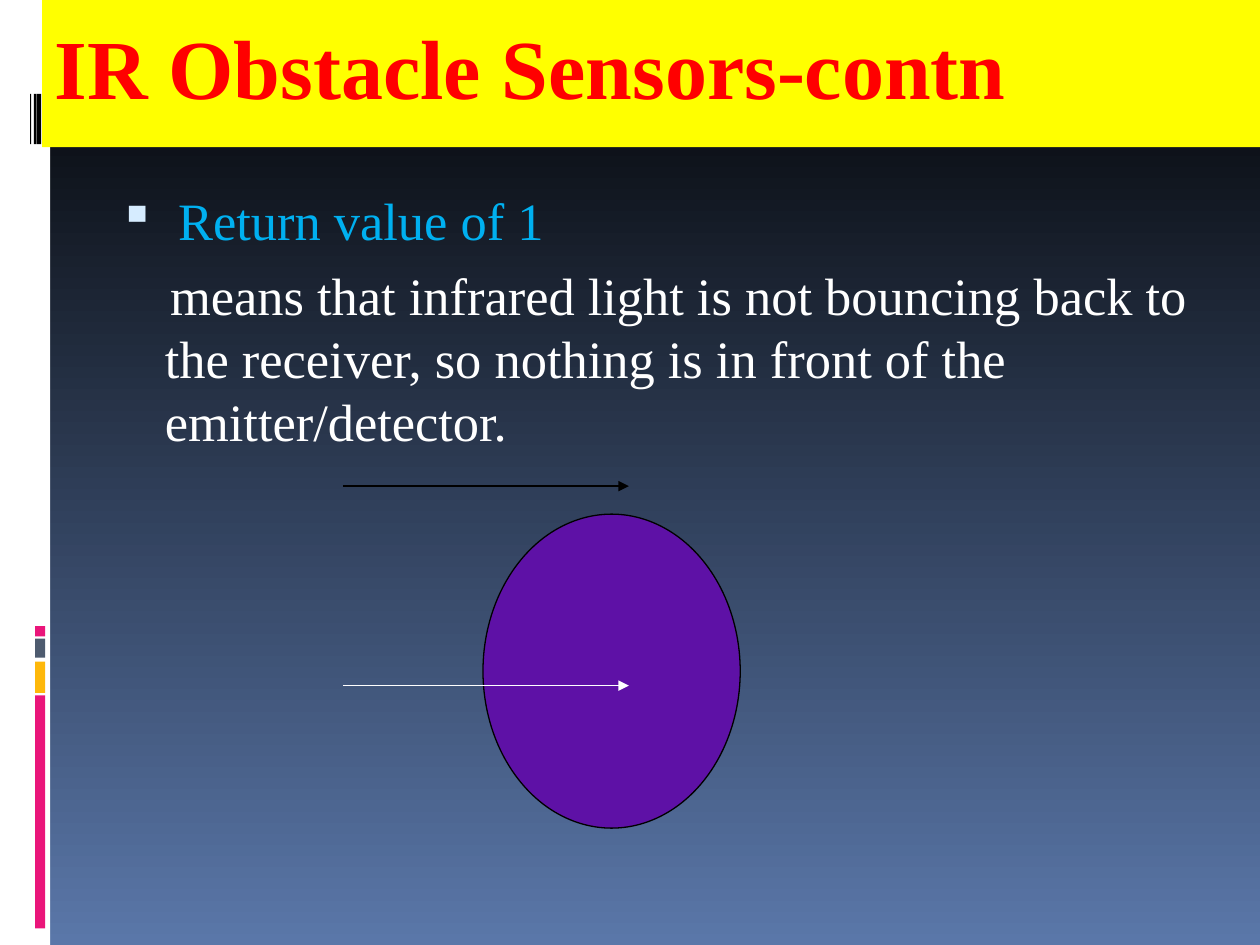
from lxml import etree
from pptx import Presentation
from pptx.dml.color import RGBColor
from pptx.enum import shapes, text
from pptx.oxml.ns import qn
from pptx.util import Pt

FONT = "Times New Roman"
WHITE = RGBColor(0xFF, 0xFF, 0xFF)
BLACK = RGBColor(0, 0, 0)
SKY_BOTTOM = RGBColor(0x5A, 0x77, 0xA9)
PINK = RGBColor(0xEA, 0x15, 0x7A)
AMBER = RGBColor(0xFE, 0xB8, 0x0A)
SLATE = RGBColor(0x4E, 0x5B, 0x6F)
YELLOW = RGBColor(0xFF, 0xFF, 0)
RED = RGBColor(0xFF, 0, 0)
CYAN = RGBColor(0, 0xB0, 0xF0)
PURPLE = RGBColor(0x5E, 0x11, 0xA6)
BULLET_COLOUR = "D6ECFF"


def add_filled(slide, kind, left, top, width, height, colour):
    shape = slide.shapes.add_shape(kind, Pt(left), Pt(top), Pt(width), Pt(height))
    shape.shadow.inherit = False
    shape.fill.solid()
    shape.fill.fore_color.rgb = colour
    shape.line.fill.background()
    return shape


def paint_background(slide):
    fill = slide.background.fill
    fill.gradient()
    fill.gradient_angle = 270
    for stop, colour in zip(fill.gradient_stops, (BLACK, SKY_BOTTOM)):
        stop.color.rgb = colour


def add_side_strip(slide, left, top, width, height):
    """White margin with coloured blocks below and thin black bars above."""
    rect = shapes.MSO_SHAPE.RECTANGLE
    add_filled(slide, rect, left, top, width, height, WHITE)
    for block_top, block_height, colour in (
        (397.4, 133.2, PINK), (378, 18, AMBER), (365, 10.8, SLATE), (357.8, 5.8, PINK),
    ):
        add_filled(slide, rect, left + 20, top + block_top, 5.8, block_height, colour)
    for bar_left, bar_width in ((21, 2.6), (19.4, 1.4), (17.2, 0.6)):
        add_filled(slide, rect, left + bar_left, top + 53.6, bar_width, 28.8, BLACK)


def add_title(slide, left, top, width, height):
    banner = add_filled(slide, shapes.MSO_SHAPE.RECTANGLE, left, top, width, height, YELLOW)
    frame = banner.text_frame
    frame.vertical_anchor = text.MSO_ANCHOR.TOP
    frame.margin_top = Pt(9)
    heading = frame.paragraphs[0]
    heading.text = "IR Obstacle Sensors-contn"
    heading.alignment = text.PP_ALIGN.LEFT
    heading.font.name = FONT
    heading.font.size = Pt(48)
    heading.font.bold = True
    heading.font.color.rgb = RED


def set_indent(paragraph, margin, first_line):
    properties = paragraph._p.get_or_add_pPr()
    properties.set("marL", str(Pt(margin)))
    properties.set("indent", str(Pt(first_line)))
    return properties


def add_square_bullet(properties):
    colour = etree.SubElement(properties, qn("a:buClr"))
    etree.SubElement(colour, qn("a:srgbClr"), val=BULLET_COLOUR)
    etree.SubElement(properties, qn("a:buSzPct"), val="95000")
    etree.SubElement(properties, qn("a:buChar"), char="▪")


def add_explanation(slide, left, top, width, height):
    frame = slide.shapes.add_textbox(Pt(left), Pt(top), Pt(width), Pt(height)).text_frame
    frame.word_wrap = True
    reading = frame.paragraphs[0]
    reading.text = "Return value of 1"
    add_square_bullet(set_indent(reading, 40, -34))
    meaning = frame.add_paragraph()
    meaning.text = ("means that infrared light is not bouncing back to the receiver, "
                    "so nothing is in front of the emitter/detector.")
    set_indent(meaning, 32.4, 3)
    meaning.space_before = Pt(7)
    for paragraph, colour in ((reading, CYAN), (meaning, WHITE)):
        paragraph.line_spacing = Pt(36)
        paragraph.font.name = FONT
        paragraph.font.size = Pt(30)
        paragraph.font.color.rgb = colour


def add_ray(slide, left, top, length, colour):
    ray = slide.shapes.add_connector(
        shapes.MSO_CONNECTOR.STRAIGHT, Pt(left), Pt(top), Pt(left + length), Pt(top))
    ray.line.color.rgb = colour
    ray.line.width = Pt(0.75)
    etree.SubElement(ray.line._get_or_add_ln(), qn("a:tailEnd"), type="triangle")
    etree.SubElement(ray._element.spPr, qn("a:effectLst"))


def add_sensor_diagram(slide, left, top):
    """Obstacle ellipse with one ray passing above and one reaching it."""
    obstacle = add_filled(slide, shapes.MSO_SHAPE.OVAL,
                          left + 80, top + 16, 147, 179.4, PURPLE)
    obstacle.line.color.rgb = BLACK
    obstacle.line.width = Pt(0.75)
    add_ray(slide, left, top, 163.4, BLACK)
    add_ray(slide, left, top + 114, 163.4, WHITE)


def main():
    deck = Presentation()
    deck.slide_width, deck.slide_height = Pt(720), Pt(540)
    slide = deck.slides.add_slide(deck.slide_layouts[6])
    paint_background(slide)
    add_side_strip(slide, 0, 0, 28.6, 540)
    add_title(slide, 24, 0, 696, 84.2)
    add_explanation(slide, 54.7, 104, 641.5, 391)
    add_sensor_diagram(slide, 196, 277.8)
    deck.save("out.pptx")


if __name__ == "__main__":
    main()
